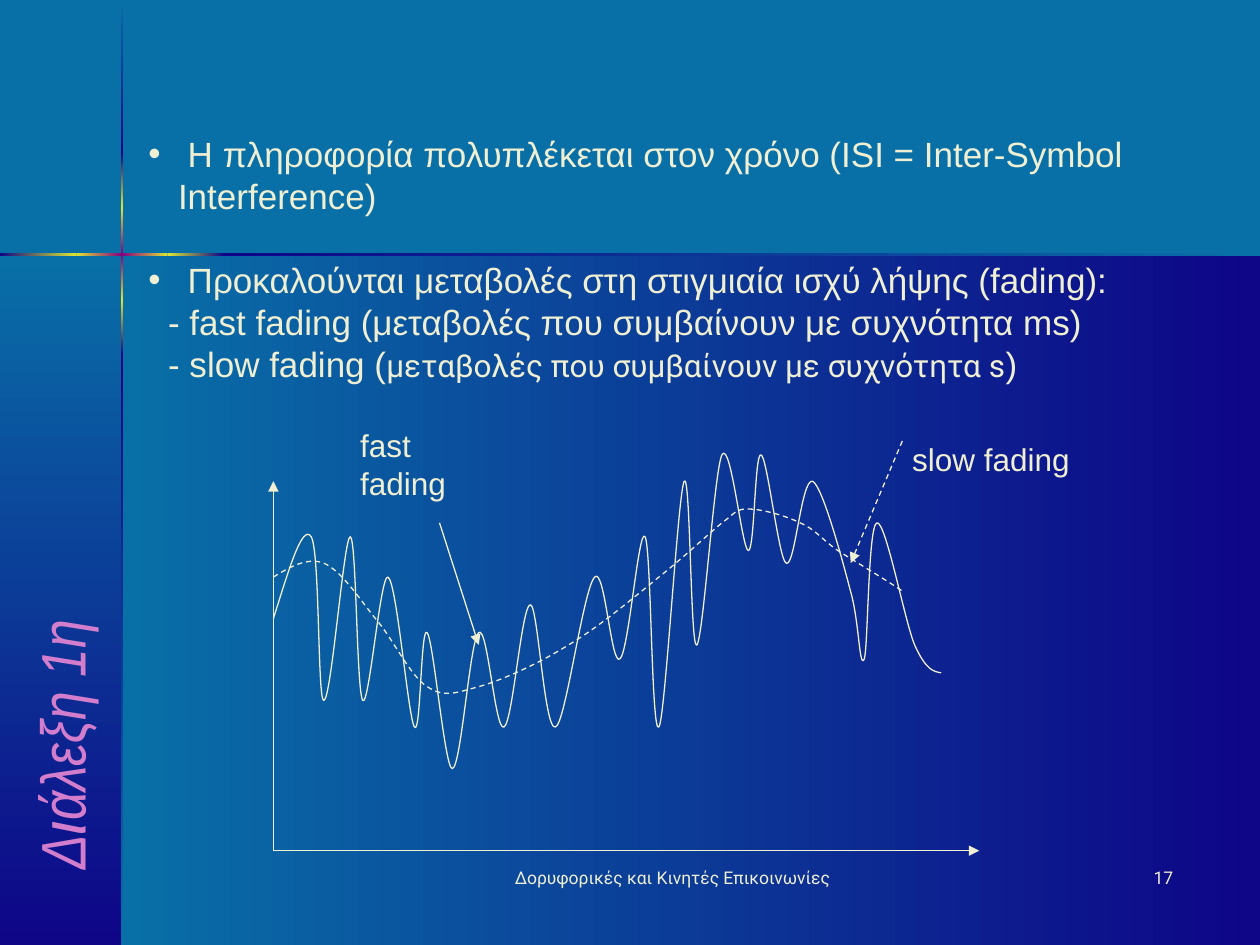
from dataclasses import dataclass
from itertools import pairwise

from lxml.etree import SubElement
from pptx import Presentation
from pptx.dml.color import RGBColor
from pptx.enum.dml import MSO_LINE
from pptx.enum.shapes import MSO_CONNECTOR, MSO_SHAPE
from pptx.enum.text import MSO_ANCHOR, PP_ALIGN
from pptx.oxml.ns import qn
from pptx.util import Cm, Pt


@dataclass(frozen=True)
class Theme:
    teal: str = "096FA7"
    navy: str = "0E0587"
    yellow: str = "DEE634"
    purple: str = "800080"
    cream: str = "EEEFD3"
    pink: str = "D37DCD"
    body: float = 20
    label: float = 18
    title: float = 36
    footer: float = 10
    line: float = 0.75
    leading: float = 1.2


theme = Theme()
deck = Presentation()
deck.slide_width, deck.slide_height = Cm(25.4), Cm(19.05)
page = deck.slides.add_slide(deck.slide_layouts[6])
page.background.fill.solid()
page.background.fill.fore_color.rgb = RGBColor.from_string(theme.teal)


def add_band(left, top, width, height, colours, vertical):
    """Rectangle whose colours run left to right, or top to bottom."""
    band = page.shapes.add_shape(MSO_SHAPE.RECTANGLE, Cm(left), Cm(top), Cm(width), Cm(height))
    band.shadow.inherit = False
    band.line.fill.background()
    band.fill.gradient()
    band.fill.gradient_angle = 270 if vertical else 0
    stops = band._element.spPr.find(".//" + qn("a:gsLst"))
    for stop in list(stops):
        stops.remove(stop)
    for index, colour in enumerate(colours):
        position = 100000 * index // (len(colours) - 1)
        stop = SubElement(stops, qn("a:gs"), pos=str(position))
        SubElement(stop, qn("a:srgbClr"), val=colour)


def add_text(place, lines, size, font="Arial", colour=theme.cream, align=PP_ALIGN.LEFT, wrap=True):
    """Text box with one paragraph for each line."""
    box = page.shapes.add_textbox(*(Cm(length) for length in place))
    frame = box.text_frame
    frame.text = "\n".join(lines)
    frame.word_wrap = wrap
    for para in frame.paragraphs:
        para.alignment = align
        for span in para.runs:
            span.font.size, span.font.name = Pt(size), font
            span.font.color.rgb = RGBColor.from_string(colour)
    return box


# Background panels
add_band(2.46, 5.13, 22.94, 13.92, (theme.teal, theme.navy), False)
add_band(0, 5.13, 2.46, 13.92, (theme.teal, theme.navy), True)

# Thin cross, from its outer ends through the glowing centre
to_yellow = (theme.navy, theme.yellow)
from_yellow = (theme.yellow, theme.navy)
glow = (theme.yellow, theme.purple, theme.yellow)
fade_in = (theme.teal, theme.navy)
fade_out = (theme.navy, theme.teal)
thickness = 0.05
columns = (0.03, 3.07, 4.19, 6.05, 7.16, 19.05)
for (top, bottom), colours in zip(pairwise(columns), (fade_in, to_yellow, glow, from_yellow, fade_out)):
    add_band(2.44, top, thickness, bottom - top, colours, True)
rows = (0, 1.54, 3.38, 4.5, 25.4)
for (left, right), colours in zip(pairwise(rows), (to_yellow, glow, from_yellow, fade_out)):
    add_band(left, 5.11, right - left, thickness, colours, False)

# Main text
body = add_text((2.74, 2.54, 21.59, 5.33), (
    " Η πληροφορία πολυπλέκεται στον χρόνο (ISI = Inter-Symbol Interference)",
    " Προκαλούνται μεταβολές στη στιγμιαία ισχύ λήψης (fading):",
    "- fast fading (μεταβολές που συμβαίνουν με συχνότητα ms)",
    "- slow fading (",
), theme.body)
paragraphs = body.text_frame.paragraphs
for text, font, size in (
    ("μεταβολές που συμβαίνουν με συχνότητα s", "Roboto", theme.label),
    (")", "Arial", theme.body),
):
    span = paragraphs[-1].add_run()
    span.text = text
    span.font.name, span.font.size = font, Pt(size)
    span.font.color.rgb = RGBColor.from_string(theme.cream)
for index, para in enumerate(paragraphs):
    para.line_spacing = Pt(theme.body * theme.leading)
    properties = para._p.get_or_add_pPr()
    if index < 2:
        properties.set("marL", str(Cm(0.6)))
        properties.set("indent", str(Cm(-0.6)))
        bullet_colour = SubElement(properties, qn("a:buClr"))
        SubElement(bullet_colour, qn("a:srgbClr"), val=theme.cream)
        SubElement(properties, qn("a:buFont"), typeface="Arial")
        SubElement(properties, qn("a:buChar"), char="•")
    else:
        properties.set("marL", str(Cm(0.4)))
paragraphs[1].space_before = Pt(theme.body * theme.leading)

# Signal curves: start point, then two control points and an end point per piece
unit = Cm(0.0254)
fast_fading = ((217, 491), (
    (229, 453, 240, 415, 247, 426), (254, 437, 252, 556, 257, 556),
    (263, 556, 273, 426, 278, 426), (283, 426, 283, 550, 288, 556),
    (293, 561, 302, 455, 308, 458), (315, 462, 324, 570, 329, 577),
    (334, 585, 334, 496, 339, 502), (344, 507, 353, 610, 359, 610),
    (366, 610, 373, 507, 380, 502), (387, 496, 393, 581, 400, 577),
    (407, 574, 414, 480, 421, 480), (427, 480, 432, 581, 441, 577),
    (449, 574, 463, 467, 472, 458), (480, 449, 485, 529, 492, 523),
    (499, 518, 507, 417, 512, 426), (517, 435, 517, 585, 523, 577),
    (528, 570, 538, 393, 543, 382), (548, 372, 548, 516, 553, 512),
    (558, 509, 567, 373, 573, 361), (580, 348, 589, 437, 594, 437),
    (599, 437, 599, 359, 604, 361), (609, 362, 618, 444, 624, 447),
    (631, 451, 636, 379, 645, 382), (653, 386, 669, 446, 675, 469),
    (682, 493, 682, 532, 686, 523), (689, 514, 689, 417, 696, 415),
    (703, 413, 718, 493, 726, 512), (735, 532, 741, 533, 747, 534),
))
slow_fading = ((217, 458), (
    (230, 450, 244, 442, 257, 447), (271, 453, 285, 475, 298, 491),
    (312, 507, 325, 536, 339, 545), (353, 554, 361, 550, 380, 545),
    (398, 540, 427, 527, 451, 512), (475, 498, 502, 475, 523, 458),
    (543, 442, 562, 424, 573, 415), (585, 406, 584, 404, 594, 404),
    (604, 404, 623, 409, 635, 415), (647, 420, 652, 428, 665, 437),
    (679, 446, 698, 457, 716, 469),
))
for (start, pieces), dash in ((fast_fading, None), (slow_fading, MSO_LINE.DASH)):
    builder = page.shapes.build_freeform(*start, scale=unit)
    for piece in pieces:
        builder.add_line_segments(list(zip(piece[::2], piece[1::2])), close=False)
    curve = builder.convert_to_shape()
    curve.shadow.inherit = False
    curve.fill.background()
    curve.line.color.rgb = RGBColor.from_string(theme.cream)
    curve.line.width = Pt(theme.line)
    curve.line.dash_style = dash
    # Turn every three straight segments into one Bézier piece
    outline = curve._element.spPr.find(".//" + qn("a:path"))
    segments = outline.findall(qn("a:lnTo"))
    for index in range(0, len(segments), 3):
        bezier = SubElement(outline, qn("a:cubicBezTo"))
        for segment in segments[index:index + 3]:
            bezier.append(segment[0])
            outline.remove(segment)

# Axes and pointers
origin = (5.51, 17.15)
for start, end, dash in (
    (origin, (5.51, 9.7), None),
    (origin, (19.74, 17.15), None),
    ((18.19, 8.89), (17.15, 11.35), MSO_LINE.DASH),
    ((8.86, 10.54), (9.65, 13), None),
):
    arrow = page.shapes.add_connector(MSO_CONNECTOR.STRAIGHT, *(Cm(length) for length in start + end))
    arrow.line.color.rgb = RGBColor.from_string(theme.cream)
    arrow.line.width = Pt(theme.line)
    arrow.line.dash_style = dash
    SubElement(arrow.line._get_or_add_ln(), qn("a:tailEnd"), type="triangle")
    SubElement(arrow._element.spPr, qn("a:effectLst"))

# Curve labels
for place, lines in (
    ((18.14, 8.74, 3.68, 1.02), ("slow fading",)),
    ((7.01, 8.46, 2.24, 1.78), ("fast", "fading")),
):
    label = add_text(place, lines, theme.label, wrap=False)
    for para in label.text_frame.paragraphs:
        para.line_spacing = Pt(theme.label * theme.leading)

# Side title
side = add_text((-3.61, 12.07, 9.73, 1.7), ("Διάλεξη 1η",), theme.title, "Arial Narrow", theme.pink)
side.rotation = 270
side.text_frame.vertical_anchor = MSO_ANCHOR.BOTTOM
side.text_frame.paragraphs[0].runs[0].font.italic = True

# Footer and page number
add_text((9.53, 17.35, 8.05, 1.27), ("Δορυφορικές και Κινητές Επικοινωνίες",),
         theme.footer, "Roboto", align=PP_ALIGN.CENTER)
add_text((18.62, 17.35, 5.28, 1.27), ("17",), theme.footer, "Roboto", align=PP_ALIGN.RIGHT)

deck.save("out.pptx")
